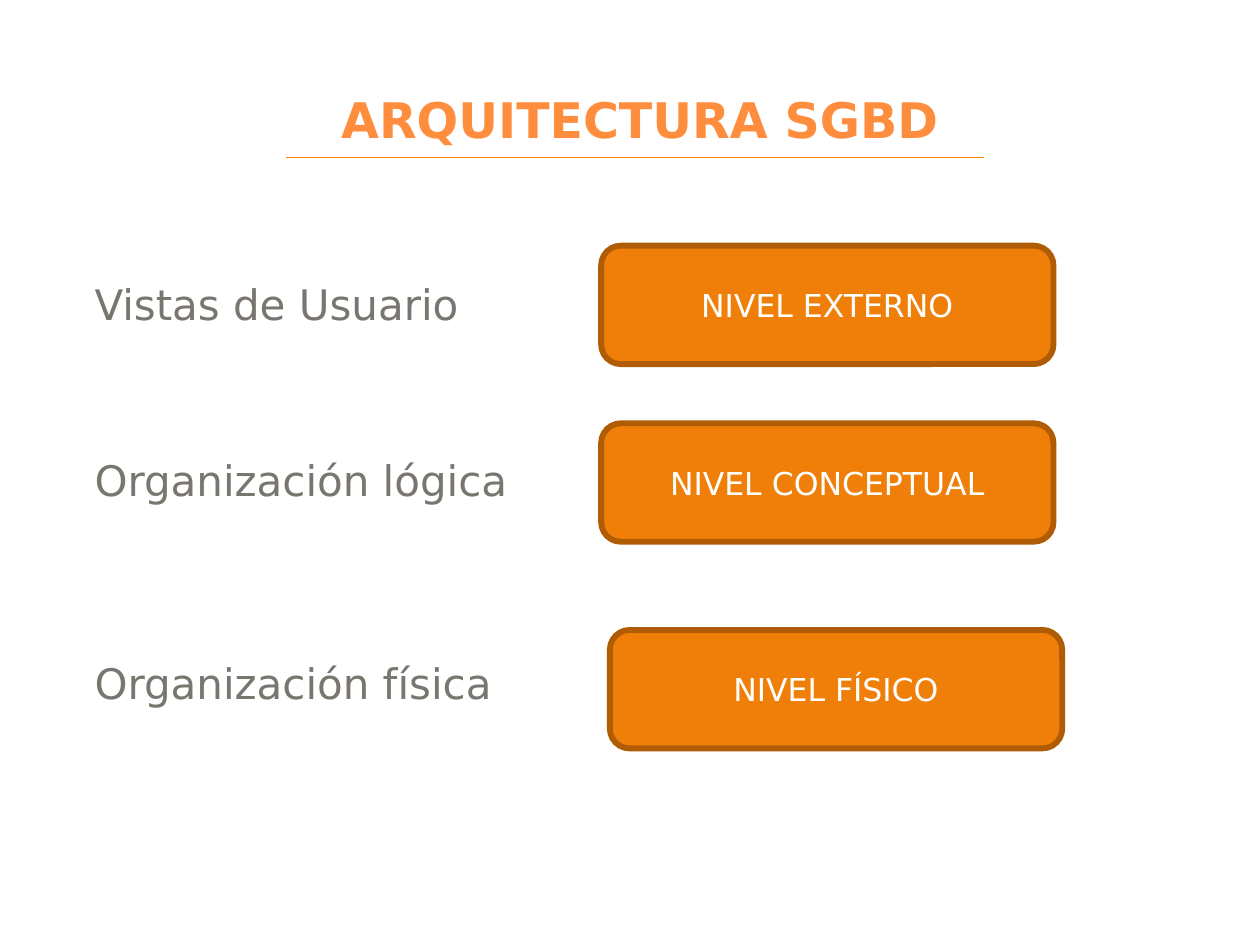
from pptx import Presentation
from pptx.util import Pt
from pptx.dml.color import RGBColor
from pptx.enum.shapes import MSO_SHAPE as Shape, MSO_CONNECTOR as Conn
from pptx.enum.text import PP_ALIGN as Align, MSO_ANCHOR as Anchor
from pptx.oxml.ns import qn
from lxml import etree


def rgb(code):
    return RGBColor.from_string(code)


def write(frame, text, size, color, align, anchor, bold=False):
    frame.word_wrap = True
    frame.vertical_anchor = anchor
    frame.margin_left = frame.margin_right = 0
    frame.margin_top = frame.margin_bottom = 0
    frame.text = text
    par = frame.paragraphs[0]
    par.alignment = align
    par.font.name = "DejaVu Sans"
    par.font.size = Pt(size)
    par.font.bold = bold
    par.font.color.rgb = rgb(color)


deck = Presentation()
deck.slide_width, deck.slide_height = Pt(720), Pt(540)
slide = deck.slides.add_slide(deck.slide_layouts[5])

# Title
title = slide.shapes.title
title.left, title.top, title.width, title.height = Pt(54), Pt(51), Pt(623), Pt(34)
write(title.text_frame, "ARQUITECTURA SGBD", 28, "FF8D3E",
      Align.CENTER, Anchor.TOP, True)

# Rule under the title
rule = slide.shapes.add_connector(Conn.STRAIGHT, Pt(163.4), Pt(90), Pt(562.3), Pt(90))
rule.line.color.rgb = rgb("FF8000")
rule.line.width = Pt(0.75)
etree.SubElement(rule._element.spPr, qn("a:effectLst"))

# Levels: label, its top, box text, box left and top
rows = [
    ("Vistas de Usuario", 159, "NIVEL EXTERNO", 343.5, 140.4),
    ("Organización lógica", 260, "NIVEL CONCEPTUAL", 343.5, 241.9),
    ("Organización física", 375.5, "NIVEL FÍSICO", 348.5, 360),
]
for label, top, level, left, y in rows:
    note = slide.shapes.add_textbox(Pt(54), Pt(top), Pt(270), Pt(28))
    write(note.text_frame, label, 24, "79766F", Align.LEFT, Anchor.TOP)

    box = slide.shapes.add_shape(Shape.ROUNDED_RECTANGLE,
                                 Pt(left), Pt(y), Pt(258.5), Pt(67.7))
    box.shadow.inherit = False
    box.fill.solid()
    box.fill.fore_color.rgb = rgb("F07F09")
    box.line.color.rgb = rgb("B05C05")
    box.line.width = Pt(3.34)
    write(box.text_frame, level, 18, "FFFFFF", Align.CENTER, Anchor.MIDDLE)

deck.save("out.pptx")
